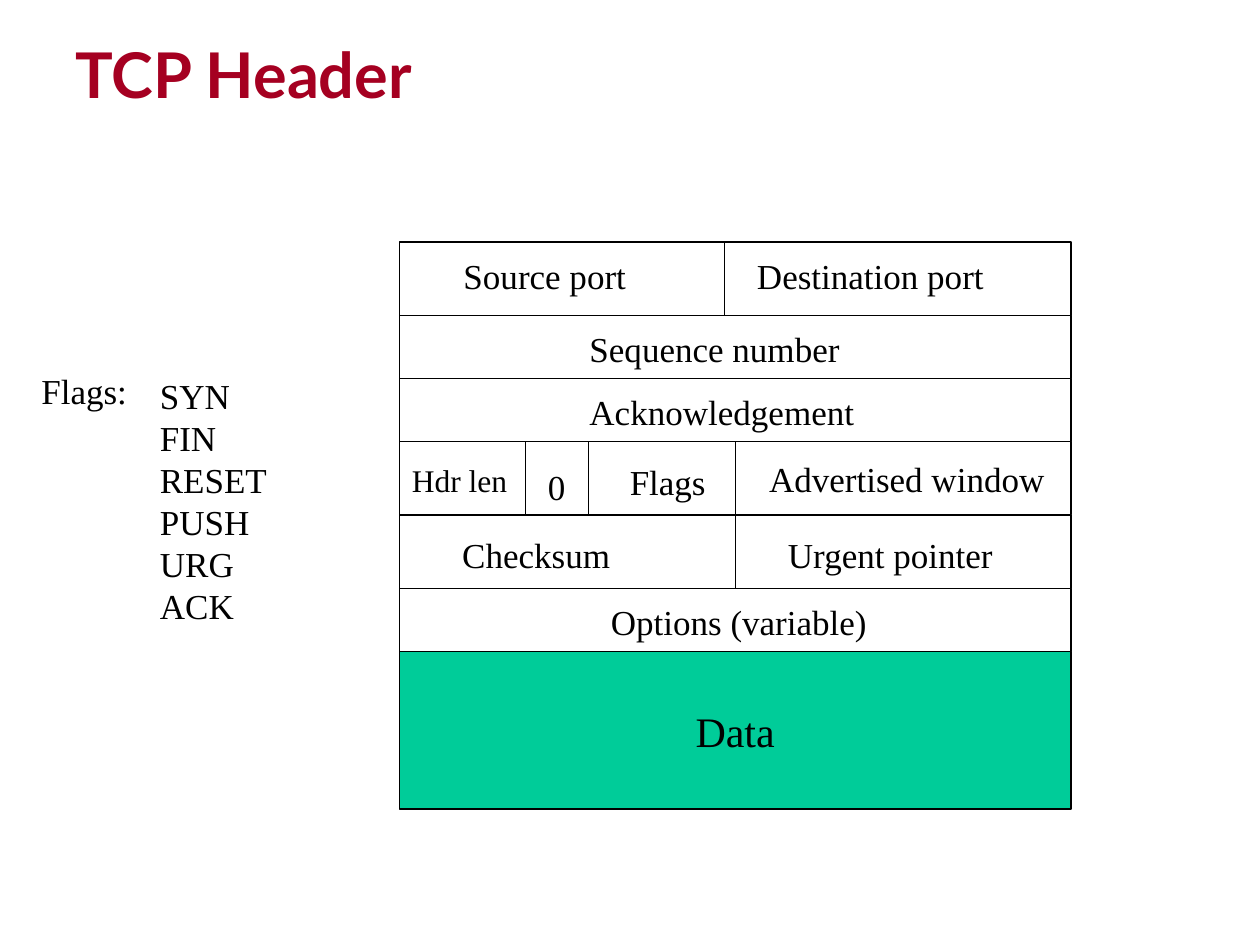
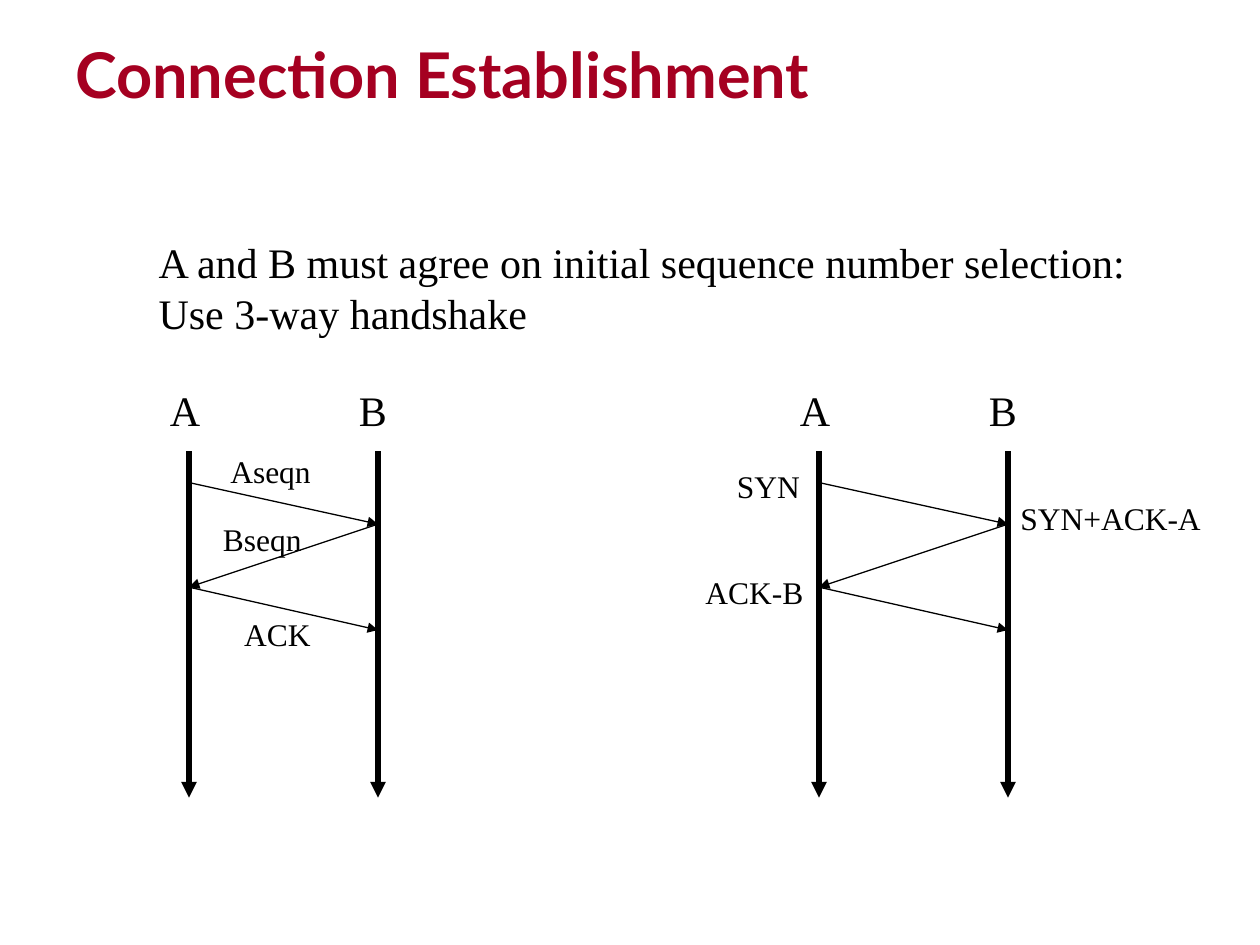
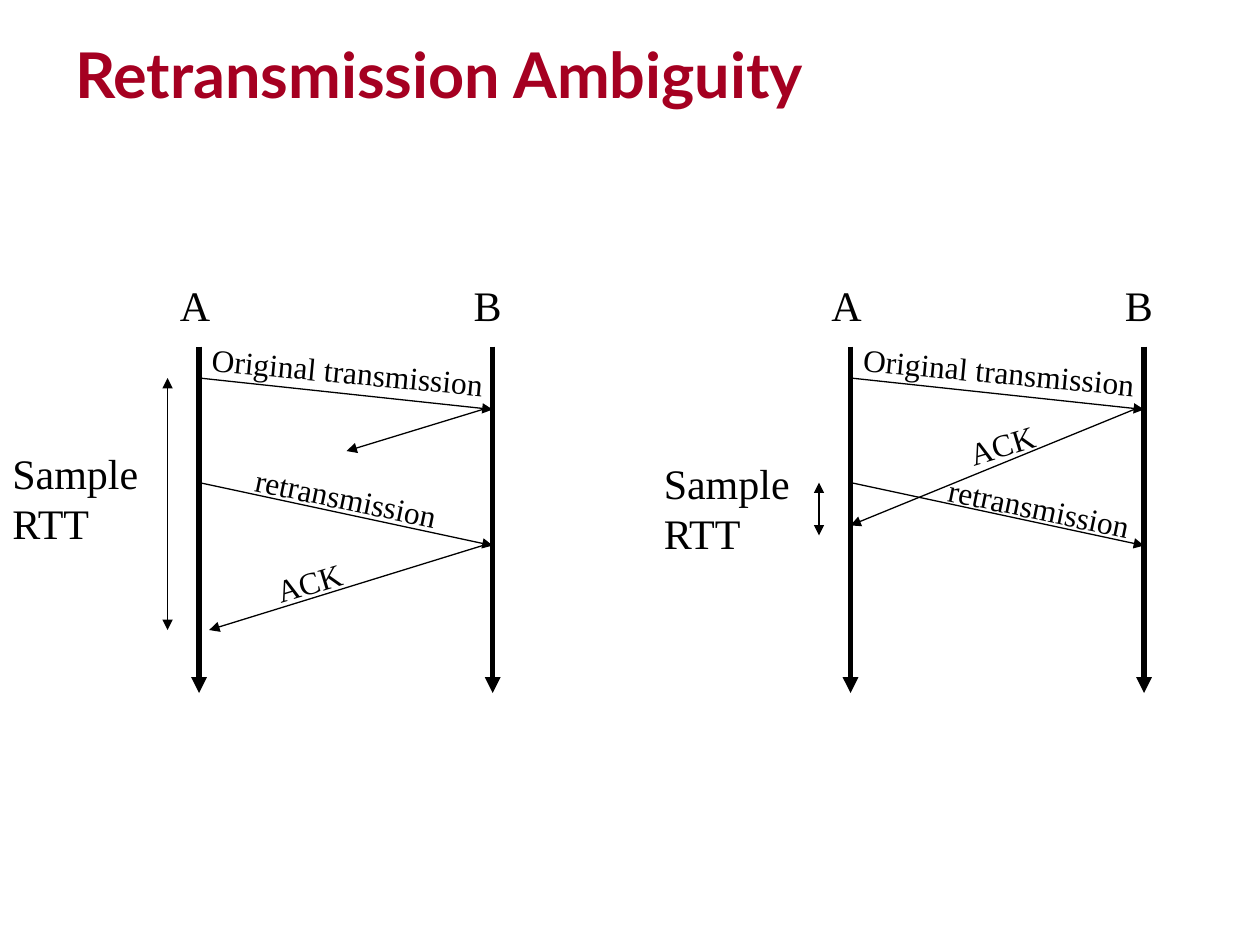
from lxml import etree
from pptx import Presentation
from pptx.dml.color import RGBColor
from pptx.enum.shapes import MSO_CONNECTOR, MSO_SHAPE
from pptx.enum.text import MSO_ANCHOR, PP_ALIGN
from pptx.oxml.ns import qn
from pptx.util import Inches, Pt

BLACK = RGBColor(0x00, 0x00, 0x00)
CRIMSON = RGBColor(0xA5, 0x00, 0x21)
GREEN = RGBColor(0x00, 0xCC, 0x99)
TITLE_FONT = "Lato"
BODY_FONT = "Times New Roman"
STRAIGHT = MSO_CONNECTOR.STRAIGHT
RECTANGLE = MSO_SHAPE.RECTANGLE
MIDDLE = MSO_ANCHOR.MIDDLE
TOP = MSO_ANCHOR.TOP
LEFT = PP_ALIGN.LEFT
CENTER = PP_ALIGN.CENTER

THIN, THICK = 0.75, 3
LINE_HEIGHT = {18: 0.4, 20: 0.44, 24: 0.5}
TIMELINE_LENGTH = 2.75
FULL_ROW, SPLIT_ROW, DATA_ROW = 0.5, 7 / 12, 1.25
HEADER_WIDTH = 5.33
HALF = HEADER_WIDTH / 2

HEADER_ROWS = [
    (SPLIT_ROW, [(2.58, [("Source port", 0.41, 0.05, 1.49, 20)]),
                 (2.75, [("Destination port", 0.16, 0.05, 2, 20)])]),
    (FULL_ROW, [(HEADER_WIDTH, [("Sequence number", 1.41, 0.05, 2.18, 20)])]),
    (FULL_ROW, [(HEADER_WIDTH, [("Acknowledgement", 1.41, 0.05, 2.3, 20)])]),
    (SPLIT_ROW, [(HALF, [("Hdr len", 0, 0.11, 0.95, 18),
                         ("0", 1.08, 0.14, 0.34, 20),
                         ("Flags", 1.73, 0.1, 0.8, 20)]),
                 (HALF, [("Advertised window", 0.17, 0.08, 2.39, 20)])]),
    (SPLIT_ROW, [(HALF, [("Checksum", 0.4, 0.1, 1.37, 20)]),
                 (HALF, [("Urgent pointer", 0.32, 0.1, 1.83, 20)])]),
    (FULL_ROW, [(HEADER_WIDTH, [("Options (variable)", 1.58, 0.05, 2.23, 20)])]),
]
FLAGS_ROW = 3
FLAG_DIVIDERS = [1, 1.5]
FLAG_NAMES = "SYN\nFIN\nRESET\nPUSH\nURG\nACK"


def write_text(frame, text, size=20, font=BODY_FONT, color=BLACK, bold=False,
               align=LEFT, anchor=TOP):
    """Fill a text frame with one paragraph per line of text."""
    frame.word_wrap = True
    frame.vertical_anchor = anchor
    for index, line in enumerate(text.split("\n")):
        paragraph = frame.add_paragraph() if index else frame.paragraphs[0]
        paragraph.alignment = align
        run = paragraph.add_run()
        run.text = line
        run.font.size = Pt(size)
        run.font.name = font
        run.font.bold = bold
        run.font.color.rgb = color


def add_label(slide, text, left, top, width, size=20, rotation=0):
    """Add a body text box with no right margin, so each line has room to spare."""
    height = LINE_HEIGHT[size] + text.count("\n") * size / 60
    shape = slide.shapes.add_textbox(Inches(left), Inches(top), Inches(width), Inches(height))
    shape.rotation = rotation
    shape.text_frame.margin_right = 0
    write_text(shape.text_frame, text, size)


def add_box(slide, left, top, width, height, fill=None):
    """Add an outlined rectangle, filled if a colour is given."""
    shape = slide.shapes.add_shape(RECTANGLE, Inches(left), Inches(top), Inches(width), Inches(height))
    shape.shadow.inherit = False
    shape.line.color.rgb = BLACK
    shape.line.width = Pt(THIN)
    if fill is None:
        shape.fill.background()
    else:
        shape.fill.solid()
        shape.fill.fore_color.rgb = fill
    return shape


def add_line(slide, x1, y1, x2, y2, weight=THIN, arrows=("tailEnd",)):
    """Add a straight line with triangles at the named ends."""
    line = slide.shapes.add_connector(STRAIGHT, Inches(x1), Inches(y1), Inches(x2), Inches(y2))
    line.line.color.rgb = BLACK
    line.line.width = Pt(weight)
    properties = line.line._get_or_add_ln()
    for end in arrows:
        etree.SubElement(properties, qn(f"a:{end}"), type="triangle")
    etree.SubElement(line._element.spPr, qn("a:effectLst"))


def add_titled_slide(presentation, title):
    """Add a blank slide with the shared title style."""
    slide = presentation.slides.add_slide(presentation.slide_layouts[6])
    shape = slide.shapes.add_textbox(Inches(0.5), Inches(0.25), Inches(9), Inches(0.67))
    write_text(shape.text_frame, title, size=36, font=TITLE_FONT, color=CRIMSON,
               bold=True, anchor=MIDDLE)
    return slide


def draw_header(slide, left, top):
    """Stack the header fields and the data block downwards from a corner."""
    for index, (height, cells) in enumerate(HEADER_ROWS):
        x = left
        for width, labels in cells:
            add_box(slide, x, top, width, height)
            for text, label_x, label_y, label_width, size in labels:
                add_label(slide, text, x + label_x, top + label_y, label_width, size)
            x += width
        if index == FLAGS_ROW:
            for offset in FLAG_DIVIDERS:
                add_line(slide, left + offset, top, left + offset, top + height, arrows=())
        top += height
    data = add_box(slide, left, top, HEADER_WIDTH, DATA_ROW, GREEN)
    write_text(data.text_frame, "Data", size=24, align=CENTER, anchor=MIDDLE)


def draw_exchange(slide, left, top, gap, messages, labels):
    """Draw timelines A and B with messages and labels relative to the top of A."""
    for name, x, width in (("A", left, 0.44), ("B", left + gap, 0.42)):
        add_line(slide, x, top, x, top + TIMELINE_LENGTH, THICK)
        add_label(slide, name, x - 0.25, top - 0.58, width, 24)
    for x1, y1, x2, y2 in messages:
        add_line(slide, left + x1, top + y1, left + x2, top + y2)
    for text, x, y, width, *rotation in labels:
        add_label(slide, text, left + x, top + y, width, 18, *rotation)


def draw_sample(slide, left, top, label_top, start, end):
    """Mark the sampled round trip beside timeline A."""
    x = left - 0.25
    add_line(slide, x, top + end, x, top + start, arrows=("headEnd", "tailEnd"))
    add_label(slide, "Sample\nRTT", left - 1.58, top + label_top, 1.2, 24)


def build_header_slide(presentation):
    """Build the TCP header slide."""
    slide = add_titled_slide(presentation, "TCP Header")
    draw_header(slide, 3.17, 1.92)
    add_label(slide, "Flags:", 0.23, 2.88, 0.88)
    add_label(slide, FLAG_NAMES, 1.17, 2.92, 1.05)


def build_connection_slide(presentation):
    """Build the three-way handshake slide."""
    slide = add_titled_slide(presentation, "Connection Establishment")
    add_label(slide, "A and B must agree on initial sequence number selection:\n"
                     "Use 3-way handshake", 1.16, 1.83, 7.89, 24)
    gap = 1.5
    handshake = [(0, 0.25, gap, 0.58), (gap, 0.58, 0, 1.08), (0, 1.08, gap, 1.42)]
    sequence_labels = [("Aseqn", 0.23, -0.04, 0.84), ("Bseqn", 0.17, 0.5, 0.82),
                       ("ACK", 0.34, 1.25, 0.73)]
    flag_labels = [("SYN", -0.75, 0.08, 0.7), ("SYN+ACK-A", gap, 0.33, 1.63),
                   ("ACK-B", -1, 0.92, 0.98)]
    for left, labels in ((1.5, sequence_labels), (6.5, flag_labels)):
        draw_exchange(slide, left, 3.58, gap, handshake, labels)


def build_ambiguity_slide(presentation):
    """Build the slide with the two readings of a retransmission."""
    slide = add_titled_slide(presentation, "Retransmission Ambiguity")
    top, gap = 2.75, 2.33
    sent = [(0, 0.25, gap, 0.5), (0, 1.08, gap, 1.58)]
    lost_reply = [(2.25, 1.58, 0.08, 2.25), (2.25, 0.5, 1.17, 0.83)]
    late_reply = [(2.25, 0.5, 0, 1.42)]
    cases = [
        (1.58, lost_reply, (0.34, 1), (0.51, 1.67), (0.75, 0.25, 2.25)),
        (6.75, late_reply, (0.67, 1.08), (0.84, 0.58), (0.83, 1.08, 1.5)),
    ]
    for left, replies, retransmission, acknowledgement, sample in cases:
        labels = [("Original transmission", 0, 0, 2.36, 5.5),
                  ("retransmission", *retransmission, 1.66, 11.8),
                  ("ACK", *acknowledgement, 0.73, 343.1)]
        draw_exchange(slide, left, top, gap, sent + replies, labels)
        draw_sample(slide, left, top, *sample)


def main():
    """Build and save the presentation."""
    presentation = Presentation()
    presentation.slide_width = Inches(10)
    presentation.slide_height = Inches(7.5)
    build_header_slide(presentation)
    build_connection_slide(presentation)
    build_ambiguity_slide(presentation)
    presentation.save("out.pptx")


if __name__ == "__main__":
    main()
